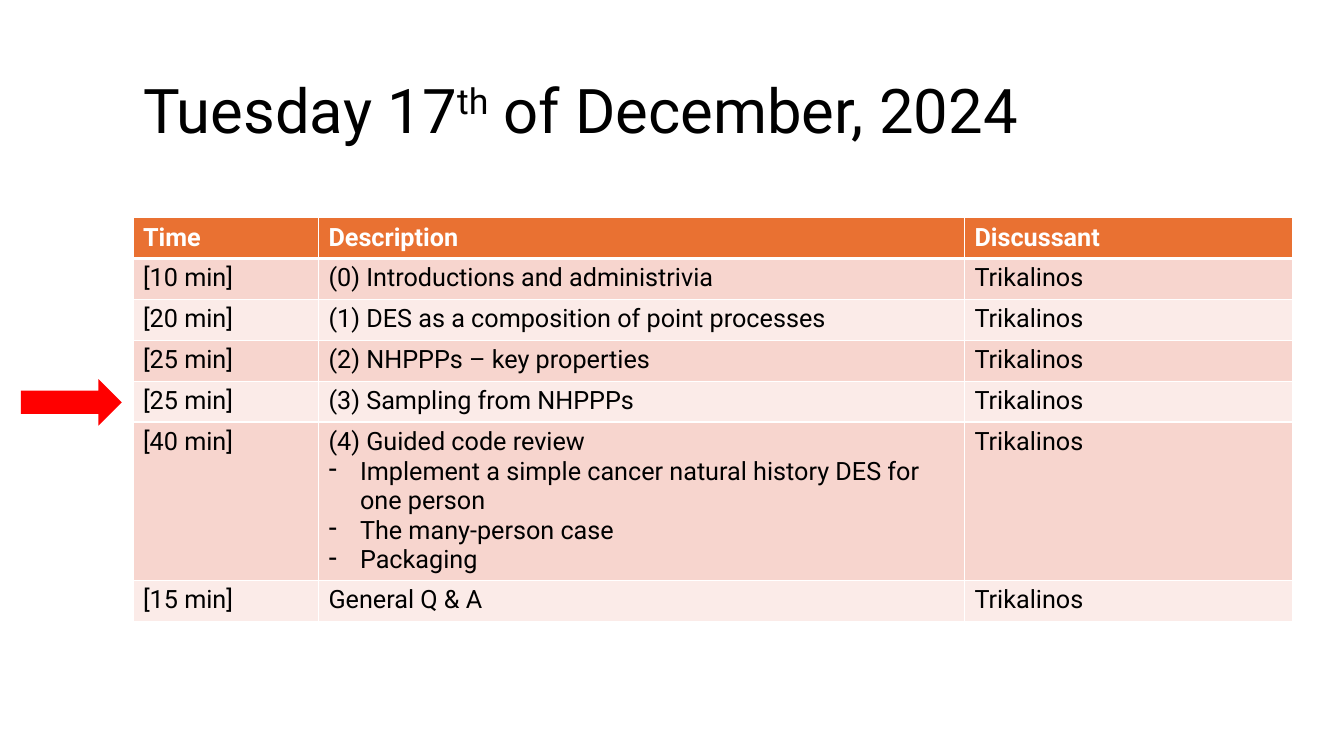
from lxml import etree
from pptx import Presentation
from pptx.dml.color import RGBColor
from pptx.enum.shapes import MSO_SHAPE
from pptx.enum.text import MSO_ANCHOR, MSO_AUTO_SIZE, PP_ALIGN
from pptx.oxml.ns import qn
from pptx.util import Pt

ARROW = MSO_SHAPE.RIGHT_ARROW
MIDDLE = MSO_ANCHOR.MIDDLE
FIXED = MSO_AUTO_SIZE.NONE
LEFT = PP_ALIGN.LEFT

COLORS = {
    "text": "000000",
    "white": "FFFFFF",
    "head": "E97132",
    "odd": "F7D5CE",
    "even": "FBEBE8",
    "arrow": "FF0000",
}
HOST = "Trikalinos"
AGENDA = [
    ("Time", "Description", "Discussant"),
    ("[10 min]", "(0) Introductions and administrivia", HOST),
    ("[20 min]", "(1) DES as a composition of point processes", HOST),
    ("[25 min]", "(2) NHPPPs – key properties", HOST),
    ("[25 min]", "(3) Sampling from NHPPPs", HOST),
    (
        "[40 min]",
        "(4) Guided code review\n"
        "Implement a simple cancer natural history DES for one person\n"
        "The many-person case\n"
        "Packaging",
        HOST,
    ),
    ("[15 min]", "General Q & A", HOST),
]
WIDTHS = [132.5, 461.5, 234]
HEIGHTS = [29.2] * 5 + [113, 29.2]


class Deck:
    font = "Roboto"
    indent = 22.5

    def __init__(self, width, height):
        self.show = Presentation()
        self.show.slide_width = Pt(width)
        self.show.slide_height = Pt(height)
        self.slide = self.show.slides.add_slide(self.show.slide_layouts[5])

    def color(self, name):
        return RGBColor.from_string(COLORS[name])

    def style(self, run, size, color, bold=False):
        run.font.name = self.font
        run.font.size = Pt(size)
        run.font.bold = bold
        run.font.color.rgb = self.color(color)

    def title(self, parts, left, top, width, height):
        box = self.slide.shapes.title
        box.left, box.top, box.width, box.height = map(Pt, (left, top, width, height))
        frame = box.text_frame
        frame.auto_size = FIXED
        frame.word_wrap = True
        frame.vertical_anchor = MIDDLE
        para = frame.paragraphs[0]
        para.alignment = LEFT
        para.line_spacing = 0.9
        for text, shift in parts:
            run = para.add_run()
            run.text = text
            self.style(run, 44, "text")
            if shift:
                run.font._element.set("baseline", str(shift * 1000))

    def table(self, rows, left, top, widths, heights):
        size = map(Pt, (left, top, sum(widths), sum(heights)))
        grid = self.slide.shapes.add_table(len(rows), len(widths), *size).table
        for column, width in zip(grid.columns, widths):
            column.width = Pt(width)
        for row, height in zip(grid.rows, heights):
            row.height = Pt(height)
        for r, texts in enumerate(rows):
            for c, text in enumerate(texts):
                self.cell(grid.cell(r, c), text, r)

    def cell(self, cell, text, row):
        head = row == 0
        props = cell._tc.get_or_add_tcPr()
        for side in "LRTB":
            thick = (head and side == "B") or (row == 1 and side == "T")
            self.border(props, side, 3 if thick else 1)
        cell.fill.solid()
        cell.fill.fore_color.rgb = self.color("head" if head else "odd" if row % 2 else "even")
        cell.text_frame.text = text
        for index, para in enumerate(cell.text_frame.paragraphs):
            if index:
                self.bullet(para)
            for run in para.runs:
                self.style(run, 18, "white" if head else "text", head)

    def border(self, props, side, width):
        line = etree.SubElement(props, qn(f"a:ln{side}"), w=str(Pt(width)))
        fill = etree.SubElement(line, qn("a:solidFill"))
        etree.SubElement(fill, qn("a:srgbClr"), val=COLORS["white"])

    def bullet(self, para):
        props = para._p.get_or_add_pPr()
        props.set("marL", str(Pt(self.indent)))
        props.set("indent", str(-Pt(self.indent)))
        etree.SubElement(props, qn("a:buFontTx"))
        etree.SubElement(props, qn("a:buChar"), char="-")

    def arrow(self, left, top, width, height):
        shape = self.slide.shapes.add_shape(ARROW, *map(Pt, (left, top, width, height)))
        shape.shadow.inherit = False
        shape.fill.solid()
        shape.fill.fore_color.rgb = self.color("arrow")
        shape.line.fill.background()

    def save(self):
        self.show.save("out.pptx")


def main():
    deck = Deck(960, 540)
    deck.title([("Tuesday 17", 0), ("th", 30), (" of December, 2024", 0)], 95, 28.75, 798.5, 104.4)
    deck.table(AGENDA, 95, 155.5, WIDTHS, HEIGHTS)
    deck.arrow(15, 270.8, 72, 33.2)
    deck.save()


if __name__ == "__main__":
    main()
